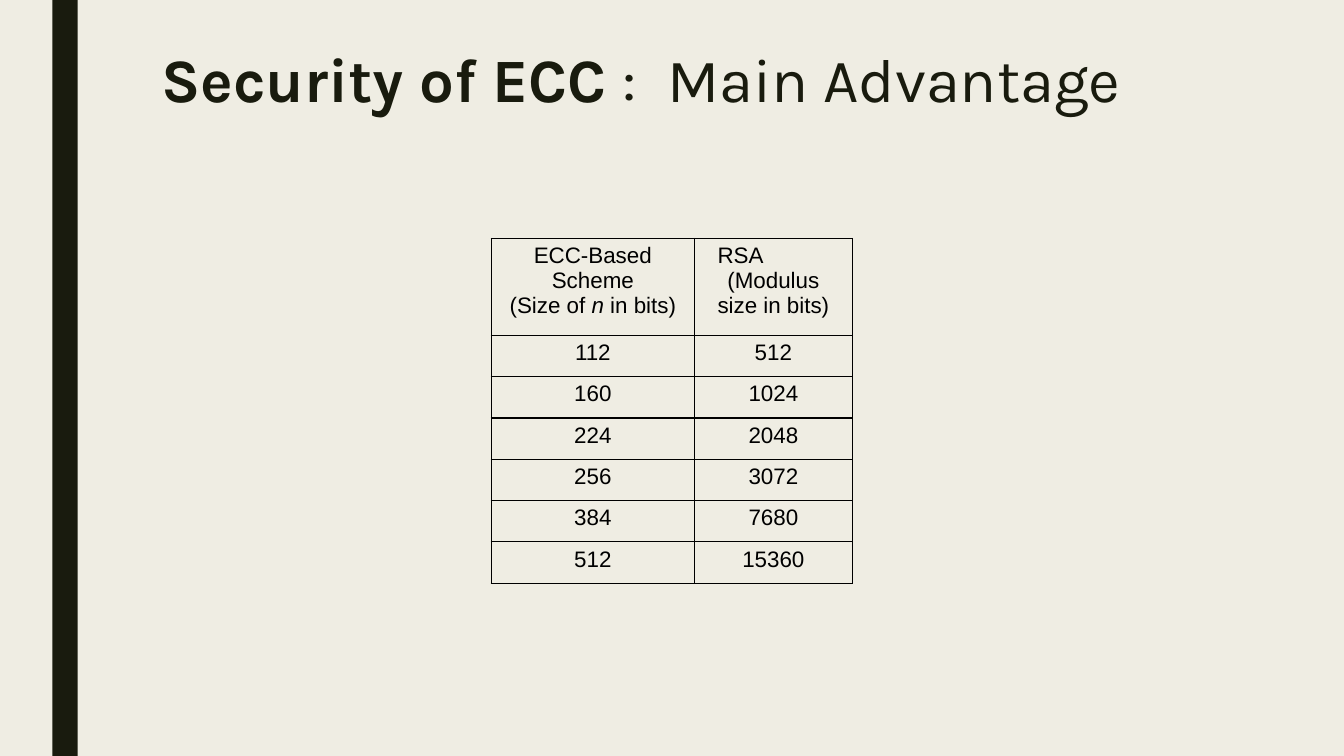
from lxml.etree import SubElement
from pptx import Presentation
from pptx.dml.color import RGBColor
from pptx.enum.shapes import MSO_SHAPE as Preset
from pptx.enum.text import MSO_ANCHOR as Anchor, PP_ALIGN as Align
from pptx.oxml.ns import qn
from pptx.util import Cm, Pt

INK, PAPER, BLACK = "191B0E", "EFEDE3", "000000"
KEY_SIZES = [(112, 512), (160, 1024), (224, 2048),
             (256, 3072), (384, 7680), (512, 15360)]


def paint(target, colour):
    """Give a fill or a font a solid colour from a hex string."""
    if hasattr(target, "solid"):
        target.solid()
        target.fore_color.rgb = RGBColor.from_string(colour)
    else:
        target.color.rgb = RGBColor.from_string(colour)


def add_side_bar(slide, left, top, width, height):
    """Draw the dark vertical band."""
    band = slide.shapes.add_shape(Preset.RECTANGLE, Cm(left), Cm(top), Cm(width), Cm(height))
    band.shadow.inherit = False
    paint(band.fill, INK)
    band.line.fill.background()


def add_heading(slide, left, top, width, height):
    """Place the title with its bold subject and regular remainder."""
    heading = slide.shapes.title
    heading.left, heading.top, heading.width, heading.height = map(Cm, (left, top, width, height))
    frame = heading.text_frame
    frame.word_wrap = True
    frame.vertical_anchor = Anchor.TOP
    line = frame.paragraphs[0]
    line.alignment = Align.LEFT
    line.line_spacing = 0.89
    for words, bold, tracking in [("Security of ECC ", True, 0), (":", False, 0),
                                  (" ", False, 11), ("Main Advantage", False, 0)]:
        run = line.add_run()
        run.text = words
        run.font.name, run.font.size, run.font.bold = "Karla", Pt(44), bold
        paint(run.font, INK)
        if tracking:
            run.font._element.set("spc", str(tracking * 100))


def add_borders(cell):
    """Outline a cell with thin black lines."""
    properties = cell._tc.get_or_add_tcPr()
    for position, side in enumerate(("lnL", "lnR", "lnT", "lnB")):
        edge = SubElement(properties, qn(f"a:{side}"), w=str(Pt(1)))
        SubElement(SubElement(edge, qn("a:solidFill")), qn("a:srgbClr"), val=BLACK)
        properties.insert(position, edge)


def write_cell(cell, lines):
    """Fill a cell with centred lines, each a list of text and italic pairs."""
    cell.fill.background()
    add_borders(cell)
    cell.text_frame.text = "\n".join("" for _ in lines)
    for paragraph, pieces in zip(cell.text_frame.paragraphs, lines):
        paragraph.alignment = Align.CENTER
        for words, italic in pieces:
            run = paragraph.add_run()
            run.text = words
            run.font.name, run.font.size = "Arial", Pt(16)
            run.font.bold, run.font.italic = False, italic
            paint(run.font, BLACK)


def add_key_size_table(slide, left, top, width, height):
    """Compare the key sizes of both schemes in a table."""
    header_height, ecc_width = 2.44, 5.12
    row_height = (height - header_height) / len(KEY_SIZES)
    table = slide.shapes.add_table(len(KEY_SIZES) + 1, 2, Cm(left), Cm(top),
                                   Cm(width), Cm(height)).table
    table.horz_banding = False
    for column, size in zip(table.columns, (ecc_width, width - ecc_width)):
        column.width = Cm(size)
    for index, row in enumerate(table.rows):
        row.height = Cm(row_height if index else header_height)
    write_cell(table.cell(0, 0), [[("ECC-Based Scheme", False)],
                                  [("(Size of ", False), ("n", True), (" in bits)", False)]])
    rsa_header = table.cell(0, 1)
    write_cell(rsa_header, [[("RSA", False)], [("(Modulus size in bits)", False)]])
    rsa_name = rsa_header.text_frame.paragraphs[0]
    rsa_name.alignment = Align.LEFT
    rsa_name._p.get_or_add_pPr().set("marL", str(Cm(0.33)))
    for row, sizes in enumerate(KEY_SIZES, 1):
        for column, bits in enumerate(sizes):
            write_cell(table.cell(row, column), [[(str(bits), False)]])


def build_security_slide(deck):
    """Compose the slide on the security of ECC."""
    slide = deck.slides.add_slide(deck.slide_layouts[5])
    paint(slide.background.fill, PAPER)
    add_side_bar(slide, 1.32, 0, 0.64, 19.05)
    add_heading(slide, 3.81, 1.12, 25.1, 2.36)
    add_key_size_table(slide, 12.38, 6.01, 9.1, 8.69)


deck = Presentation()
deck.slide_width, deck.slide_height = Cm(33.87), Cm(19.05)
build_security_slide(deck)
deck.save("out.pptx")
